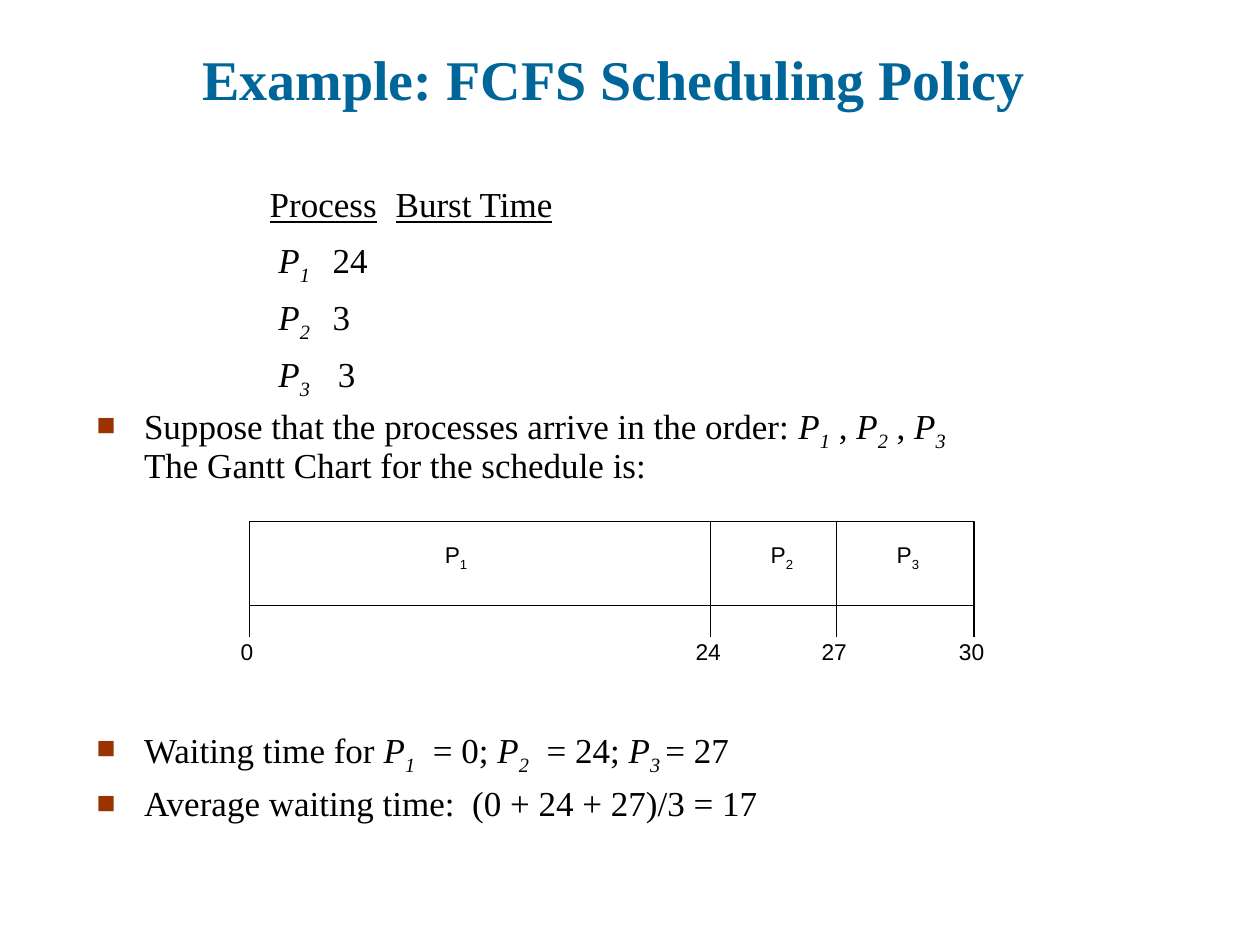
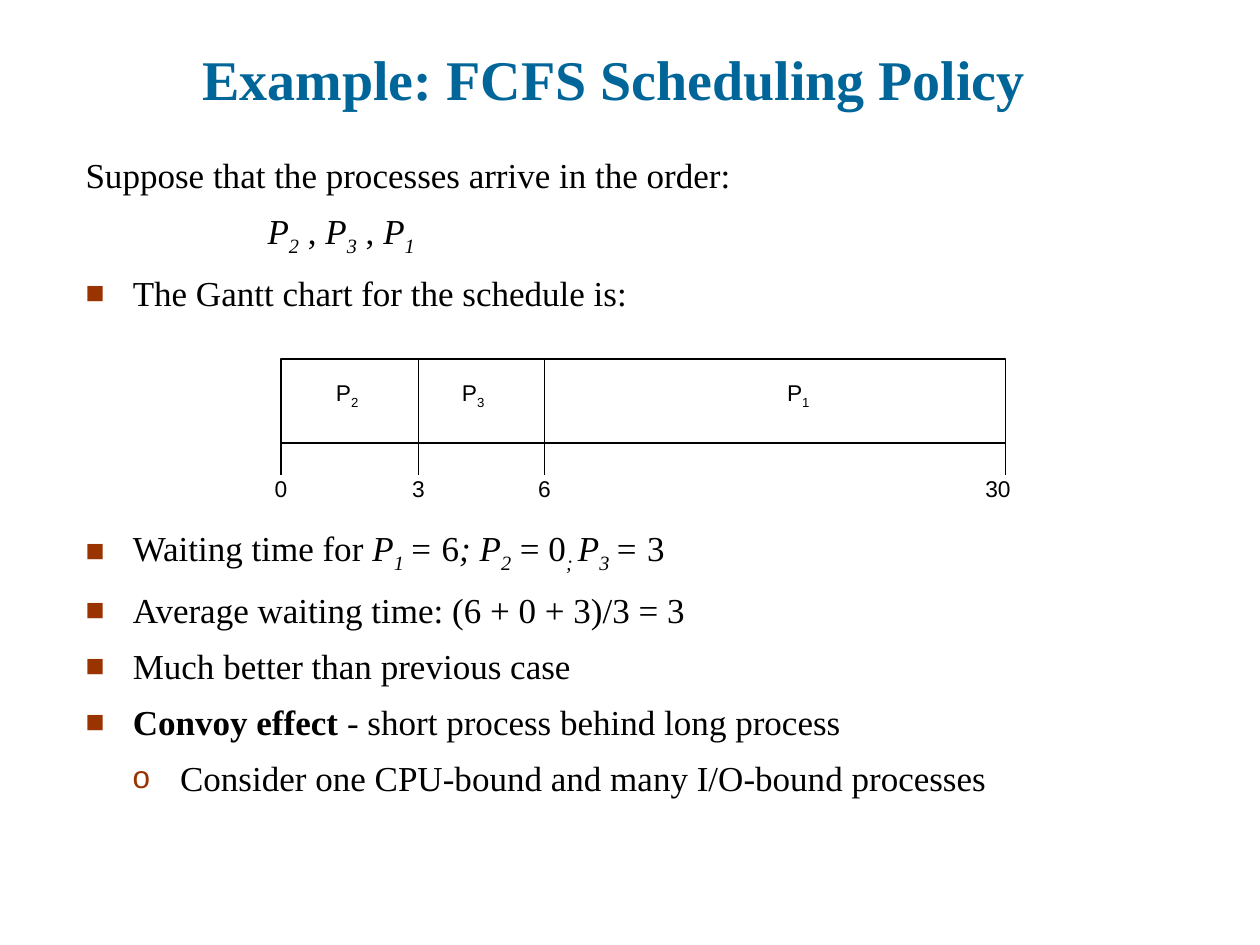
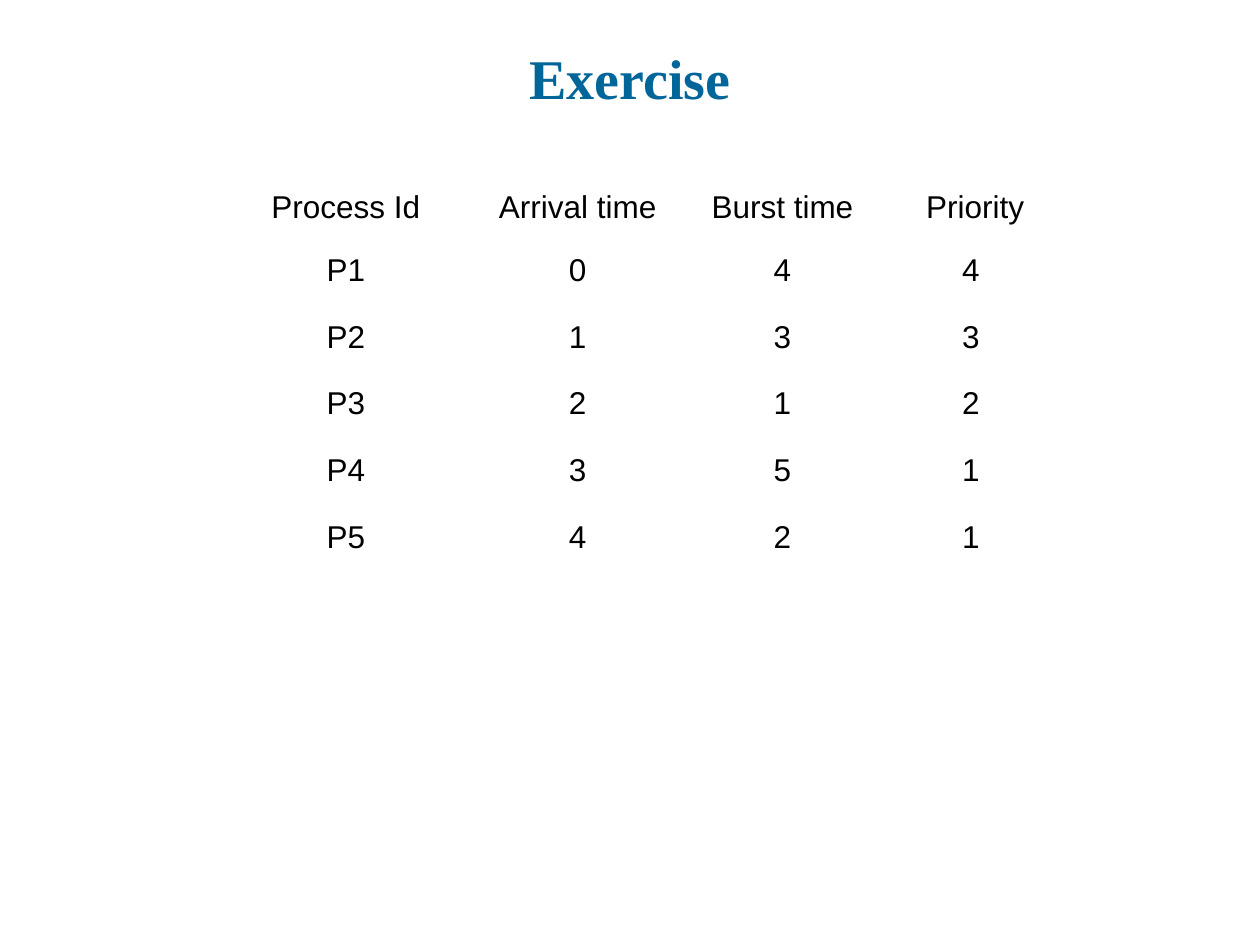
from dataclasses import dataclass

from lxml import etree
from pptx import Presentation
from pptx.dml.color import RGBColor
from pptx.enum.shapes import MSO_CONNECTOR, MSO_SHAPE
from pptx.enum.text import MSO_ANCHOR, PP_ALIGN
from pptx.oxml.ns import qn
from pptx.util import Pt

STRAIGHT = MSO_CONNECTOR.STRAIGHT
RECTANGLE = MSO_SHAPE.RECTANGLE
TOP, MIDDLE, BOTTOM = MSO_ANCHOR.TOP, MSO_ANCHOR.MIDDLE, MSO_ANCHOR.BOTTOM
LEFT, CENTER = PP_ALIGN.LEFT, PP_ALIGN.CENTER

BLACK = RGBColor(0x00, 0x00, 0x00)
WHITE = RGBColor(0xFF, 0xFF, 0xFF)
TITLE_BLUE = RGBColor(0x00, 0x66, 0x99)
BULLET_RUST = RGBColor(0x99, 0x33, 0x00)
SERIF, SANS = "Times New Roman", "Arial"

GANTT_WIDTH, GANTT_HEIGHT, TICK_LENGTH = 414, 48, 18
GANTT_LABEL_SIZE = 13
HANGING = 27


@dataclass(frozen=True)
class Box:
    left: float
    top: float
    width: float
    height: float


@dataclass(frozen=True)
class Span:
    text: str
    italic: bool = False
    bold: bool = False
    underline: bool = False
    subscript: bool = False


@dataclass(frozen=True)
class Line:
    spans: tuple[Span, ...]
    bullet: str = ""
    margin: float = 0
    indent: float = 0
    tab: float = 0


@dataclass(frozen=True)
class Mark:
    offset: float
    time: str
    shift: float = 0


@dataclass(frozen=True)
class Job:
    center: float
    number: str


@dataclass(frozen=True)
class Gantt:
    left: float
    top: float
    jobs: tuple[Job, ...]
    marks: tuple[Mark, ...]


def process(number: str) -> tuple[Span, Span]:
    return Span("P", italic=True), Span(number, italic=True, subscript=True)


def bullet(*spans: Span) -> Line:
    return Line(spans, "■", HANGING, -HANGING)


def write(paragraph, text: str, *, size: float, font: str = SERIF, color: RGBColor = BLACK,
          italic: bool = False, bold: bool = False, underline: bool = False,
          subscript: bool = False) -> None:
    run = paragraph.add_run()
    run.text = text
    run.font.size = Pt(size)
    run.font.name = font
    run.font.color.rgb = color
    run.font.italic = italic
    run.font.bold = bold
    run.font.underline = underline
    if subscript:
        run.font._element.set("baseline", "-25000")


def add_text_frame(slide, box: Box, anchor=TOP, wrap: bool = True):
    frame = slide.shapes.add_textbox(
        Pt(box.left), Pt(box.top), Pt(box.width), Pt(box.height)).text_frame
    frame.word_wrap = wrap
    frame.vertical_anchor = anchor
    return frame


def add_title(slide, text: str, box: Box) -> None:
    paragraph = add_text_frame(slide, box, BOTTOM).paragraphs[0]
    paragraph.alignment = CENTER
    write(paragraph, text, size=32, color=TITLE_BLUE, bold=True)


def format_line(paragraph, line: Line) -> None:
    properties = paragraph._p.get_or_add_pPr()
    properties.set("marL", str(Pt(line.margin)))
    properties.set("indent", str(Pt(line.indent)))
    if line.bullet:
        color = etree.SubElement(properties, qn("a:buClr"))
        etree.SubElement(color, qn("a:srgbClr"), val=str(BULLET_RUST))
        etree.SubElement(properties, qn("a:buSzPct"), val="90000")
        etree.SubElement(properties, qn("a:buFont"), typeface=SANS)
        etree.SubElement(properties, qn("a:buChar"), char=line.bullet)
    if line.tab:
        stops = etree.SubElement(properties, qn("a:tabLst"))
        etree.SubElement(stops, qn("a:tab"), pos=str(Pt(line.tab)), algn="l")
    paragraph.alignment = LEFT


def add_body(slide, box: Box, lines: list[Line], spacing: float = 1.0) -> None:
    frame = add_text_frame(slide, box)
    for index, line in enumerate(lines):
        paragraph = frame.add_paragraph() if index else frame.paragraphs[0]
        format_line(paragraph, line)
        paragraph.line_spacing = spacing
        if index:
            paragraph.space_before = Pt(8)
        for span in line.spans:
            if span.text == "\n":
                paragraph.add_line_break()
            else:
                write(paragraph, span.text, size=20, italic=span.italic, bold=span.bold,
                      underline=span.underline, subscript=span.subscript)


def add_vertical(slide, x: float, top: float, length: float) -> None:
    rule = slide.shapes.add_connector(STRAIGHT, Pt(x), Pt(top), Pt(x), Pt(top + length))
    rule.line.color.rgb = BLACK
    rule.line.width = Pt(0.75)
    etree.SubElement(rule._element.spPr, qn("a:effectLst"))


def add_gantt_label(slide, center: float, top: float, width: float, text: str,
                    number: str = "") -> None:
    box = Box(center - width / 2, top, width, 23)
    paragraph = add_text_frame(slide, box, MIDDLE, wrap=False).paragraphs[0]
    paragraph.alignment = CENTER
    write(paragraph, text, size=GANTT_LABEL_SIZE, font=SANS)
    if number:
        write(paragraph, number, size=GANTT_LABEL_SIZE, font=SANS, subscript=True)


def add_gantt(slide, gantt: Gantt) -> None:
    bar = slide.shapes.add_shape(
        RECTANGLE, Pt(gantt.left), Pt(gantt.top), Pt(GANTT_WIDTH), Pt(GANTT_HEIGHT))
    bar.shadow.inherit = False
    bar.fill.solid()
    bar.fill.fore_color.rgb = WHITE
    bar.line.color.rgb = BLACK
    bar.line.width = Pt(0.75)
    for job in gantt.jobs:
        add_gantt_label(slide, gantt.left + job.center, gantt.top + 8.6, 28, "P", job.number)
    for mark in gantt.marks:
        x = gantt.left + mark.offset
        if 0 < mark.offset < GANTT_WIDTH:
            add_vertical(slide, x, gantt.top, GANTT_HEIGHT)
        add_vertical(slide, x, gantt.top + GANTT_HEIGHT, TICK_LENGTH)
        add_gantt_label(slide, x + mark.shift, gantt.top + 62.6,
                        14.4 + 7.2 * len(mark.time), mark.time)


def add_exercise_table(slide, rows: list[tuple[str, ...]]) -> None:
    widths = (143.3, 121.7, 112.3, 103)
    heights = (30.2,) + (38.2,) * (len(rows) - 1)
    table = slide.shapes.add_table(
        len(rows), len(widths), Pt(126), Pt(102.2), Pt(sum(widths)), Pt(sum(heights))).table
    table.first_row = False
    table.horz_banding = False
    for column, width in zip(table.columns, widths):
        column.width = Pt(width)
    for row, height, values in zip(table.rows, heights, rows):
        row.height = Pt(height)
        for cell, value in zip(row.cells, values):
            cell.fill.background()
            cell.vertical_anchor = MIDDLE
            cell.margin_left = cell.margin_right = Pt(7.2)
            cell.margin_top = cell.margin_bottom = Pt(5.8)
            paragraph = cell.text_frame.paragraphs[0]
            paragraph.alignment = CENTER
            write(paragraph, value, size=18, font=SANS)


FCFS_TITLE = "Example: FCFS Scheduling Policy"
FCFS_TITLE_BOX = Box(36, 31.7, 630, 36)
BURST_TAB = 72


def build_arrival_order(slide) -> None:
    add_title(slide, FCFS_TITLE, FCFS_TITLE_BOX)
    burst_times = [
        (Span("Process", underline=True), Span("\t"), Span("Burst Time", underline=True)),
        (Span(" "), *process("1"), Span("\t24")),
        (Span(" "), *process("2"), Span("\t3")),
        (Span(" "), *process("3\t "), Span("3")),
    ]
    add_body(slide, Box(147, 103.7, 300, 128),
             [Line(spans, tab=BURST_TAB) for spans in burst_times], 0.9)
    add_body(slide, Box(48.2, 228, 624, 56), [
        bullet(Span("Suppose that the processes arrive in the order: "), *process("1"),
               Span(" , "), *process("2"), Span(" , "), *process("3"), Span("\n"),
               Span("The Gantt Chart for the schedule is:")),
    ], 0.9)
    add_gantt(slide, Gantt(
        142.6, 298,
        (Job(118, "1"), Job(304.2, "2"), Job(376.2, "3")),
        (Mark(0, "0", -1.4), Mark(263.5, "24", -1.4), Mark(335.5, "27", -1.4),
         Mark(GANTT_WIDTH, "30", -1.4))))
    add_body(slide, Box(48.2, 413, 624, 64), [
        bullet(Span("Waiting time for "), *process("1"), Span("  = 0; "), *process("2"),
               Span("  = 24; "), *process("3 "), Span("= 27")),
        bullet(Span("Average waiting time:  (0 + 24 + 27)/3 = 17")),
    ], 0.9)


def build_short_first_order(slide) -> None:
    add_body(slide, Box(41.8, 84.2, 648, 102), [
        Line((Span("Suppose that the processes arrive in the order:"),)),
        Line((*process("2"), Span(" , "), *process("3"), Span(" , "), *process("1")),
             margin=104),
        bullet(Span("The Gantt chart for the schedule is:")),
    ])
    add_gantt(slide, Gantt(
        160.6, 205.2,
        (Job(37.8, "2"), Job(109.8, "3"), Job(295.6, "1")),
        (Mark(0, "0"), Mark(78.5, "3"), Mark(150.5, "6"), Mark(GANTT_WIDTH, "30", -4.3))))
    add_body(slide, Box(41.8, 297.4, 648, 164), [
        bullet(Span("Waiting time for "), *process("1 "), Span("=", italic=True), Span(" 6"),
               Span("; ", italic=True), *process("2"), Span(" = 0"),
               Span("; ", italic=True, subscript=True), *process("3 "),
               Span("= ", italic=True), Span("3")),
        bullet(Span("Average waiting time: (6 + 0 + 3)/3 = 3")),
        bullet(Span("Much better than previous case")),
        bullet(Span("Convoy effect ", bold=True), Span("- short process behind long process")),
        Line((Span("Consider one CPU-bound and many I/O-bound processes"),),
             "o", 2 * HANGING, -HANGING),
    ])
    add_title(slide, FCFS_TITLE, FCFS_TITLE_BOX)


def build_exercise(slide) -> None:
    add_title(slide, "Exercise", Box(36, 21.6, 648, 45.4))
    add_exercise_table(slide, [
        ("Process Id", "Arrival time", "Burst time", " Priority"),
        ("P1", "0", "4", "4"),
        ("P2", "1", "3", "3"),
        ("P3", "2", "1", "2"),
        ("P4", "3", "5", "1"),
        ("P5", "4", "2", "1"),
    ])


def main() -> None:
    presentation = Presentation()
    presentation.slide_width = Pt(720)
    presentation.slide_height = Pt(540)
    blank = presentation.slide_layouts[6]
    for build in (build_arrival_order, build_short_first_order, build_exercise):
        build(presentation.slides.add_slide(blank))
    presentation.save("out.pptx")


if __name__ == "__main__":
    main()
